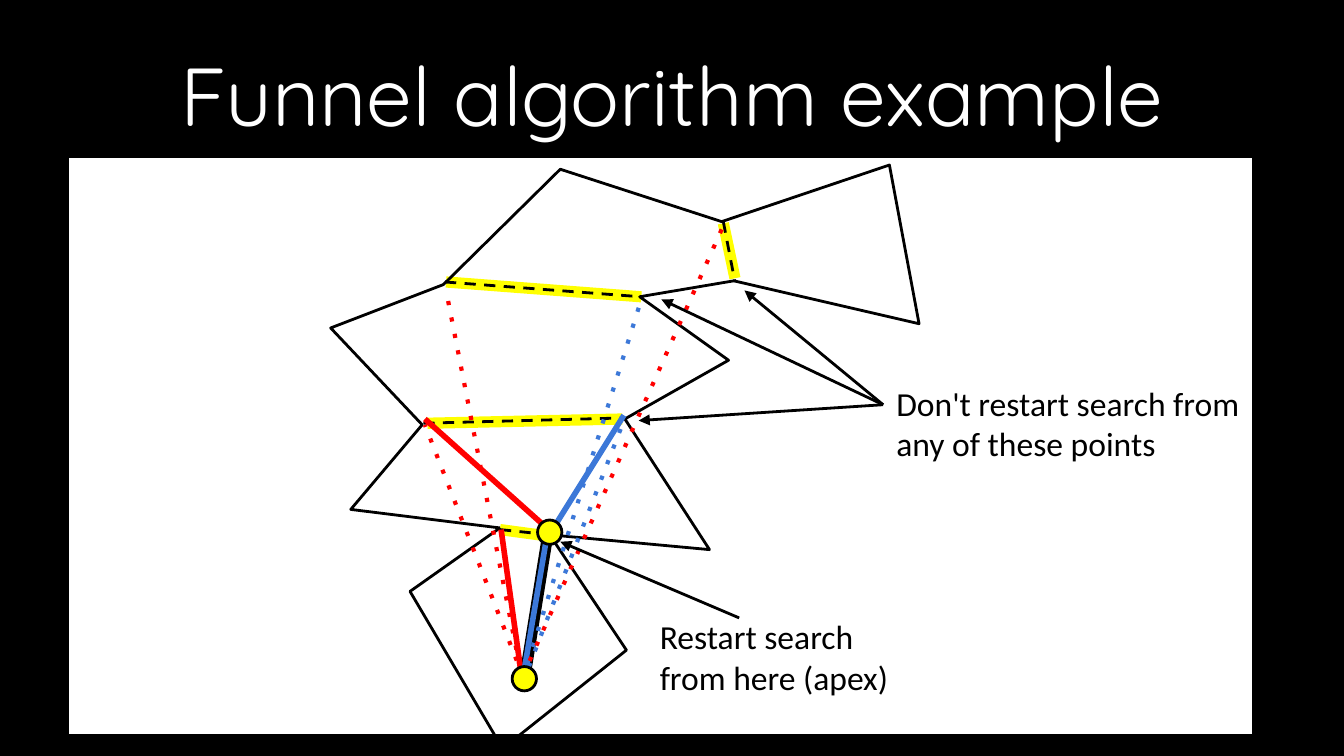
from lxml import etree
from pptx import Presentation
from pptx import util as u
from pptx.dml.color import RGBColor
from pptx.enum import shapes, text
from pptx.oxml.ns import qn

THEME = {
    "black": "000000", "white": "FFFFFF", "yellow": "FFFF00", "red": "FF0000", "blue": "3C78D8",
    "title_font": "Quicksand", "title_size": 44,
    "label_font": "Calibri", "label_size": 18,
}

TITLE = ("Funnel algorithm example", (1.27, 0.58, 22.86, 2.39))
LABELS = [
    ("Restart search from here (apex)", (12.22, 11.4, 5.46, 1.85)),
    ("Don't restart search from any of these points", (16.69, 6.99, 7.21, 1.65)),
]
PANEL = (1.27, 2.95, 22.43, 10.97)
NODE_SIZE = 0.46
APEX, START = (10.16, 9.83), (9.68, 12.6)

CORRIDOR = [
    (10.39, 10.11), (11.84, 12.29), (9.5, 14.15), (7.75, 11.18), (9.45, 9.98), (6.63, 9.63),
    (7.98, 8.03), (6.25, 6.2), (8.38, 5.38), (10.59, 3.2), (13.64, 4.19), (16.81, 3.12),
    (17.37, 6.12), (13.87, 5.31), (12.09, 5.61), (13.77, 6.81), (11.81, 7.92), (13.41, 10.39),
]
STYLES = {
    "path": ("black", 6, None, False),
    "portal": ("yellow", 6, None, False),
    "crossing": ("black", 1.5, "dash", False),
    "left": ("red", 3, None, False),
    "right": ("blue", 3, None, False),
    "left_try": ("red", 2.25, "dot", False),
    "right_try": ("blue", 2.25, "dot", False),
    "pointer": ("black", 1.5, None, True),
}
BEHIND_CORRIDOR = [
    ("path", (9.91, 12.85), (10.36, 10.06)),
    ("portal", (8.43, 5.33), (12.12, 5.61)),
    ("portal", (13.67, 4.22), (13.89, 5.26)),
    ("portal", (8.08, 8), (11.76, 7.92)),
]
FUNNEL = [
    ("portal", (9.45, 10.01), (10.34, 10.13)),
    ("crossing", (9.45, 10.01), (10.41, 10.11)),
    ("crossing", (8, 8), (11.79, 7.9)),
    ("crossing", (8.41, 5.33), (12.12, 5.61)),
    ("crossing", (13.67, 4.19), (13.89, 5.33)),
    ("left", (9.86, 12.8), (9.47, 10.01)),
    ("right", (9.88, 12.83), (10.34, 10.11)),
    ("left", (10.39, 10.03), (8.03, 7.92)),
    ("right", (10.41, 10.06), (11.79, 7.85)),
]
ATTEMPTS = [
    ("left_try", (9.88, 12.78), (8.03, 8.03)),
    ("right_try", (9.88, 12.9), (11.76, 8.03)),
    ("left_try", (9.88, 12.9), (8.43, 5.49)),
    ("right_try", (9.88, 12.83), (12.12, 5.66)),
    ("left_try", (9.88, 12.78), (13.69, 4.22)),
]
POINTERS = [("pointer", (13.97, 11.68), (10.59, 10.24))] + [
    ("pointer", (16.69, 7.65), target)
    for target in [(14.07, 5.49), (12.5, 5.66), (12.07, 7.95)]
]


def rgb(name):
    return RGBColor.from_string(THEME[name])


def cm(values):
    return [u.Cm(value) for value in values]


def outline(shape, width, color="black"):
    shape.line.color.rgb = rgb(color)
    shape.line.width = u.Pt(width)


def draw_shape(slide, kind, box, fill, width):
    shape = slide.shapes.add_shape(kind, *cm(box))
    shape.shadow.inherit = False
    shape.fill.solid()
    shape.fill.fore_color.rgb = rgb(fill)
    outline(shape, width)


def draw_node(slide, corner):
    draw_shape(slide, shapes.MSO_SHAPE.OVAL, (*corner, NODE_SIZE, NODE_SIZE), "yellow", 1.5)


def draw_lines(slide, lines):
    for role, begin, end in lines:
        color, width, dash, arrow = STYLES[role]
        line = slide.shapes.add_connector(shapes.MSO_CONNECTOR.STRAIGHT, *cm(begin + end))
        outline(line, width, color)
        stroke = line.line._get_or_add_ln()
        if dash:
            etree.SubElement(stroke, qn("a:prstDash"), val=dash)
        if arrow:
            etree.SubElement(stroke, qn("a:tailEnd"), type="triangle", w="med", len="med")
        etree.SubElement(line._element.spPr, qn("a:effectLst"))


def draw_corridor(slide):
    first, *rest = [cm(point) for point in CORRIDOR]
    builder = slide.shapes.build_freeform(*first)
    builder.add_line_segments(rest, close=True)
    corridor = builder.convert_to_shape()
    corridor.shadow.inherit = False
    corridor.fill.background()
    outline(corridor, 1.5)


def write(slide, wording, box, role, color, align, anchor):
    frame = slide.shapes.add_textbox(*cm(box)).text_frame
    frame.word_wrap = True
    frame.vertical_anchor = anchor
    frame.margin_left = frame.margin_right = u.Cm(0.25)
    frame.margin_top = frame.margin_bottom = u.Cm(0.25)
    paragraph = frame.paragraphs[0]
    paragraph.text = wording
    paragraph.alignment = align
    paragraph.font.name = THEME[role + "_font"]
    paragraph.font.size = u.Pt(THEME[role + "_size"])
    paragraph.font.color.rgb = rgb(color)


def main():
    deck = Presentation()
    deck.slide_width, deck.slide_height = cm((25.4, 14.29))
    slide = deck.slides.add_slide(deck.slide_layouts[6])
    slide.background.fill.solid()
    slide.background.fill.fore_color.rgb = rgb("black")

    draw_shape(slide, shapes.MSO_SHAPE.RECTANGLE, PANEL, "white", 2)
    write(slide, *TITLE, "title", "white", text.PP_ALIGN.CENTER, text.MSO_ANCHOR.MIDDLE)
    draw_lines(slide, BEHIND_CORRIDOR)
    draw_corridor(slide)
    draw_lines(slide, FUNNEL)
    draw_node(slide, APEX)
    draw_lines(slide, ATTEMPTS)
    for wording, box in LABELS:
        write(slide, wording, box, "label", "black", text.PP_ALIGN.LEFT, text.MSO_ANCHOR.TOP)
    draw_node(slide, START)
    draw_lines(slide, POINTERS)
    deck.save("out.pptx")


if __name__ == "__main__":
    main()
